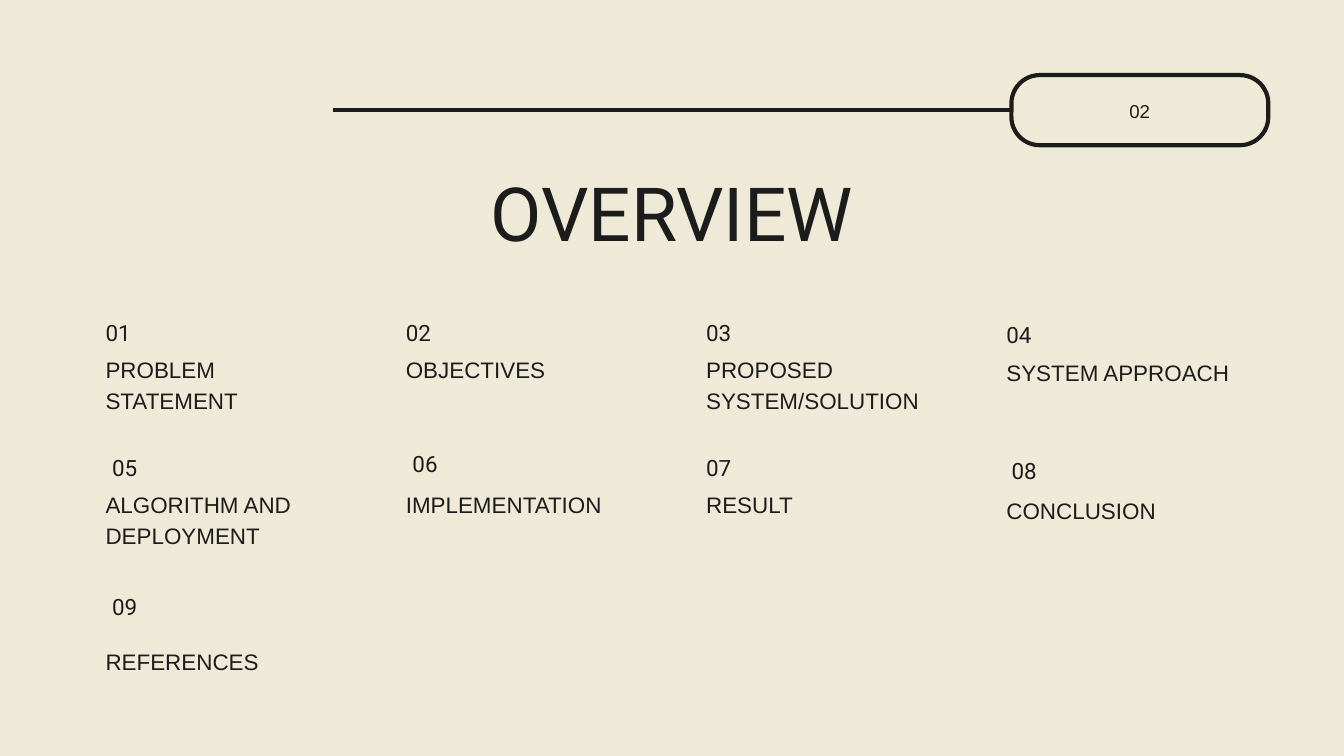
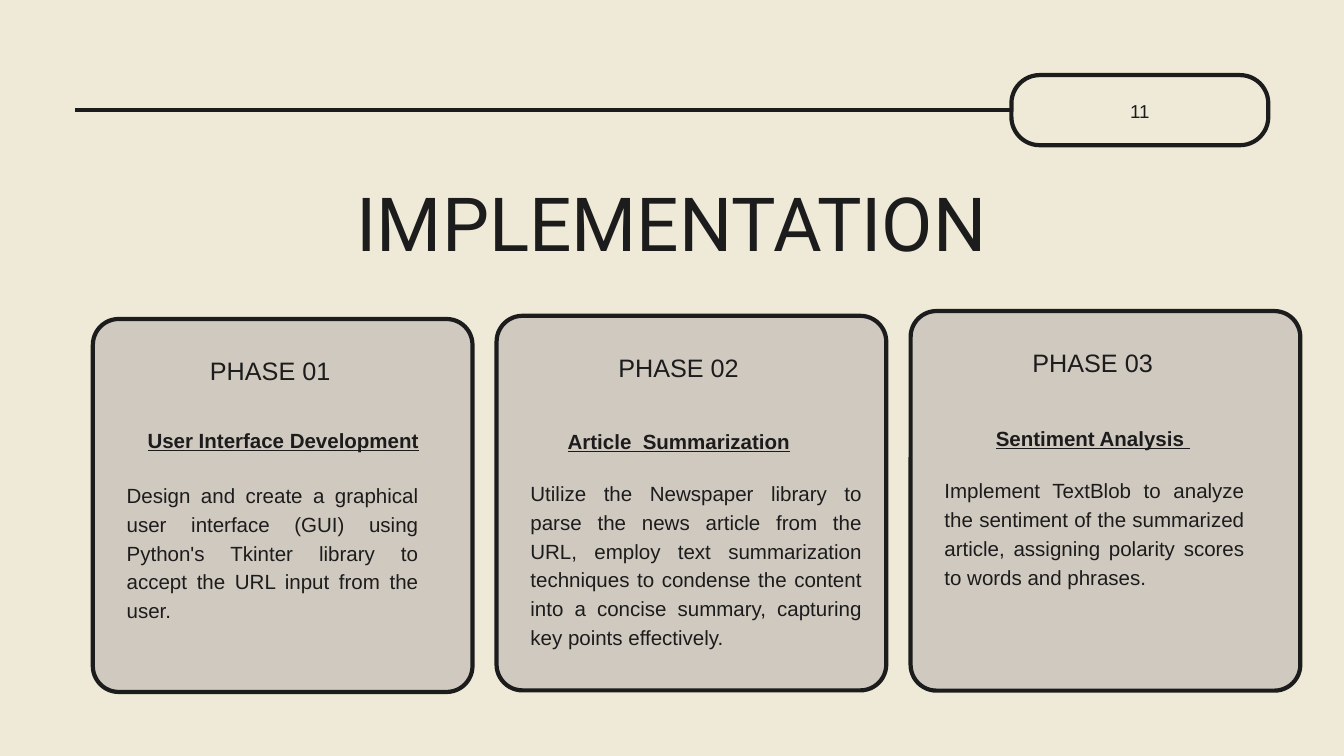
from lxml.etree import SubElement
from pptx import Presentation
from pptx.dml.color import RGBColor
from pptx.enum.shapes import MSO_CONNECTOR, MSO_SHAPE
from pptx.enum.text import PP_ALIGN
from pptx.oxml.ns import qn
from pptx.util import Cm, Pt

INK = "1C1C1C"
PAPER = "EFEAD8"
CARD = "D0C9C0"
OUTLINE = Pt(4.5)
BODY_FONT = "Arial"
TITLE_FONT = "Roboto"


def add_text(slide, text, left, top, width, height, size, spacing,
             font=BODY_FONT, align=PP_ALIGN.LEFT, emphasis=None):
    box = slide.shapes.add_textbox(Cm(left), Cm(top), Cm(width), Cm(height))
    frame = box.text_frame
    frame.word_wrap = True
    frame.margin_left = frame.margin_right = 0
    frame.margin_top = frame.margin_bottom = 0
    paragraph = frame.paragraphs[0]
    paragraph.alignment = align
    paragraph.line_spacing = Pt(spacing)
    run = paragraph.add_run()
    run.text = text
    run.font.name = font
    run.font.size = Pt(size)
    run.font.bold = emphasis
    run.font.underline = emphasis
    run.font.color.rgb = RGBColor.from_string(INK)


def add_rounded_box(slide, left, top, width, height, radius, fill):
    shape = slide.shapes.add_shape(
        MSO_SHAPE.ROUNDED_RECTANGLE, Cm(left), Cm(top), Cm(width), Cm(height))
    shape.adjustments[0] = radius / min(width, height)
    shape.shadow.inherit = False
    shape.fill.solid()
    shape.fill.fore_color.rgb = RGBColor.from_string(fill)
    shape.line.color.rgb = RGBColor.from_string(INK)
    shape.line.width = OUTLINE
    return shape


presentation = Presentation()
presentation.slide_width = Cm(50.8)
presentation.slide_height = Cm(28.58)

pages = [
    ("OVERVIEW", 6.88, "02", 12.57),
    ("IMPLEMENTATION", 7.24, "11", 2.85),
]
slides = []
for title, title_top, page_number, rule_left in pages:
    slide = presentation.slides.add_slide(presentation.slide_layouts[6])
    slide.background.fill.solid()
    slide.background.fill.fore_color.rgb = RGBColor.from_string(PAPER)
    badge = add_rounded_box(slide, 38.23, 2.84, 9.71, 2.65, 1.07, PAPER)
    rule_height = badge.top + badge.height // 2
    rule = slide.shapes.add_connector(
        MSO_CONNECTOR.STRAIGHT, Cm(rule_left), rule_height, badge.left, rule_height)
    rule.end_connect(badge, 1)
    rule.line.color.rgb = RGBColor.from_string(INK)
    rule.line.width = OUTLINE
    SubElement(rule._element.spPr, qn("a:effectLst"))
    add_text(slide, page_number, 41.4, 3.91, 3.36, 0.7, 20, 20, align=PP_ALIGN.CENTER)
    add_text(slide, title, 7.47, title_top, 35.86, 3.18, 80, 80, TITLE_FONT, PP_ALIGN.CENTER)
    slides.append(slide)

overview, implementation = slides

topics = [
    ("PROBLEM STATEMENT", 0, 12.22, 13.28),
    ("OBJECTIVES", 0, 12.22, 13.28),
    ("PROPOSED SYSTEM/SOLUTION", 0, 12.22, 13.28),
    ("SYSTEM APPROACH", 0, 12.32, 13.39),
    ("ALGORITHM AND DEPLOYMENT", 0.25, 17.35, 18.39),
    ("IMPLEMENTATION", 0.25, 17.2, 18.39),
    ("RESULT", 0, 17.35, 18.39),
    ("CONCLUSION", 0.2, 17.45, 18.64),
    ("REFERENCES", 0.25, 22.58, 24.33),
]
for index, (topic, number_indent, number_top, topic_top) in enumerate(topics):
    left = 3.99 + 11.35 * (index % 4)
    add_text(overview, f"{index + 1:02}", left + number_indent, number_top,
             2, 0.95, 24, 24, TITLE_FONT)
    add_text(overview, topic, left, topic_top, 9, 2.34, 24, 33.6)

phases = [
    (3.51, 12.06, 14.35, 14.1, "User Interface Development", 1.68, 16.03, 11.02,
     "Design and create a graphical user interface (GUI) using Python's Tkinter library "
     "to accept the URL input from the user.", 18.11, 11.02),
    (18.77, 11.94, 14.73, 14.16, "Article  Summarization", 1.22, 16.05, 11.33,
     "Utilize the Newspaper library to parse the news article from the URL, employ text "
     "summarization techniques to condense the content into a concise summary, capturing "
     "key points effectively.", 18.03, 12.52),
    (34.42, 11.76, 14.73, 14.35, "Sentiment Analysis ", 1.22, 15.93, 11.33,
     "Implement TextBlob to analyze the sentiment of the summarized article, assigning "
     "polarity scores to words and phrases.", 17.93, 11.33),
]
for number, phase in enumerate(phases, 1):
    (left, top, width, height, heading, heading_indent, heading_top, heading_width,
     description, description_top, description_width) = phase
    add_rounded_box(implementation, left, top, width, height, 0.98, CARD)
    add_text(implementation, f"PHASE {number:02}", left, top + 1.19, width * 0.934, 1.4,
             27, 37.8, align=PP_ALIGN.CENTER)
    add_text(implementation, heading, left + heading_indent, heading_top, heading_width, 1.2,
             22, 30.8, align=PP_ALIGN.CENTER, emphasis=True)
    add_text(implementation, description, left + 1.28, description_top, description_width, 6.5,
             22, 30.8, align=PP_ALIGN.JUSTIFY)

presentation.save("out.pptx")
